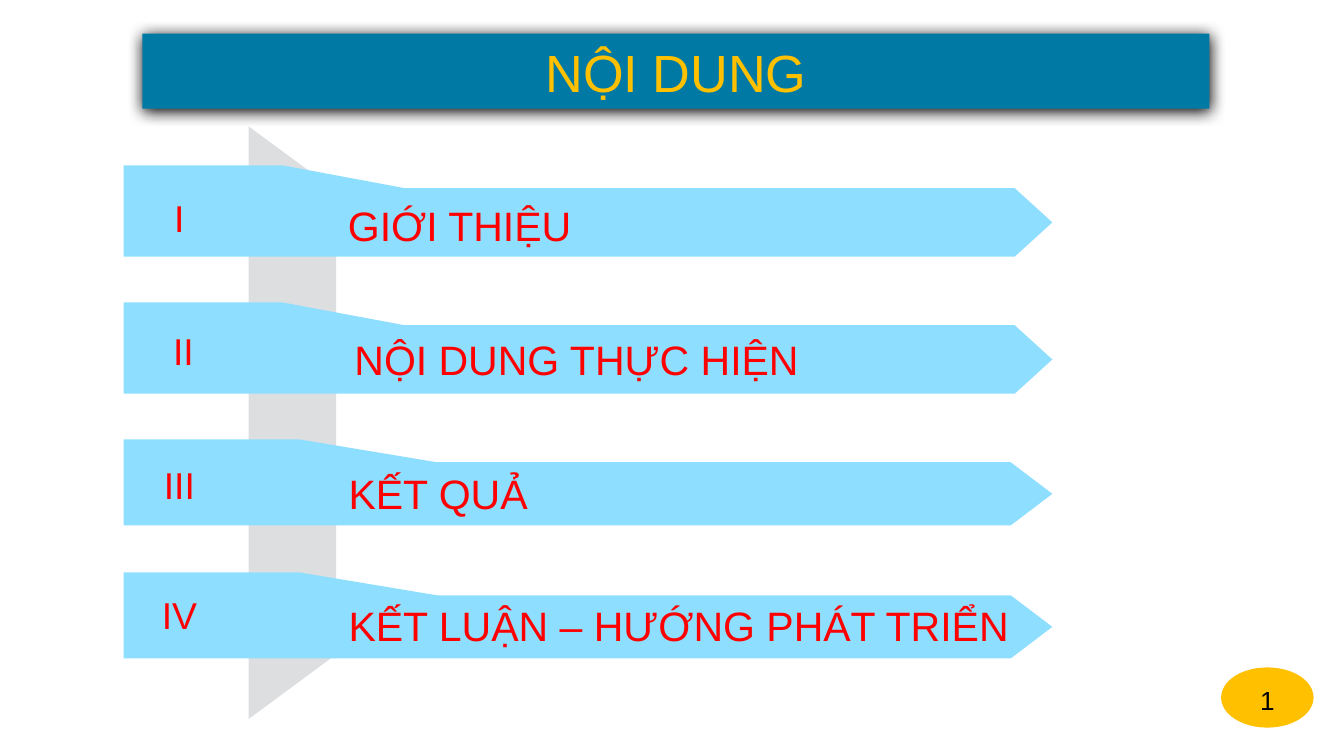
from dataclasses import dataclass

from lxml import etree
from pptx import Presentation
from pptx.dml.color import RGBColor
from pptx.enum.shapes import MSO_SHAPE as Preset
from pptx.enum.text import MSO_ANCHOR as Anchor, MSO_AUTO_SIZE as AutoSize, PP_ALIGN as Align
from pptx.oxml import parse_xml
from pptx.oxml.ns import nsdecls
from pptx.shapes.autoshape import Shape
from pptx.slide import Slide
from pptx.text.text import TextFrame
from pptx.util import Inches, Pt

FONT = "Arial"
TEAL = RGBColor(0x00, 0x79, 0xA5)
GOLD = RGBColor(0xFF, 0xC0, 0x00)
SKY = RGBColor(0x8E, 0xDF, 0xFF)
GREY = RGBColor(0xDC, 0xDE, 0xE0)
RED = RGBColor(0xFF, 0x00, 0x00)
BLACK = RGBColor(0x00, 0x00, 0x00)

Point = tuple[float, float]


@dataclass(frozen=True)
class Banner:
    """Proportions of an arrow banner, in inches."""
    height: float
    shoulder: float  # where the tall left part starts to slope
    neck: float  # where the slope meets the arrow
    head: float  # where the arrow head starts
    left: float = 0.92
    tip: float = 7.83
    drop: float = 0.17


@dataclass(frozen=True)
class Section:
    numeral: str
    title: str
    banner: Banner
    top: float
    numeral_at: Point
    title_at: Point
    title_width: float


TALL = Banner(0.68, 2.1, 3.01, 7.55)
SHORT = Banner(0.64, 2.23, 3.25, 7.52)
SECTIONS = [
    Section("I", "GIỚI THIỆU", TALL, 1.23, (1.03, 1.4), (2.48, 1.44), 1.88),
    Section("II", "NỘI DUNG THỰC HIỆN", TALL, 2.25, (1.06, 2.39), (2.52, 2.44), 3.54),
    Section("III", "KẾT QUẢ", SHORT, 3.27, (1.03, 3.39), (2.49, 3.44), 1.54),
    Section("IV", "KẾT LUẬN – HƯỚNG PHÁT TRIỂN", SHORT, 4.26, (1.03, 4.36), (2.42, 4.42), 5.26),
]


def write(frame: TextFrame, text: str, size: float, color: RGBColor) -> None:
    paragraph = frame.paragraphs[0]
    paragraph.text = text
    paragraph.alignment = Align.CENTER
    paragraph.font.name = FONT
    paragraph.font.size = Pt(size)
    paragraph.font.color.rgb = color


def add_outline(slide: Slide, points: list[Point], fill: RGBColor) -> None:
    corners = [(Inches(x), Inches(y)) for x, y in points]
    builder = slide.shapes.build_freeform(*corners[0])
    builder.add_line_segments(corners[1:], close=True)
    shape = builder.convert_to_shape()
    shape.shadow.inherit = False
    shape.fill.solid()
    shape.fill.fore_color.rgb = fill
    shape.line.fill.background()


def add_preset(slide: Slide, preset: Preset, left: float, top: float,
               width: float, height: float, fill: RGBColor) -> Shape:
    shape = slide.shapes.add_shape(preset, Inches(left), Inches(top), Inches(width), Inches(height))
    shape.shadow.inherit = False
    shape.fill.solid()
    shape.fill.fore_color.rgb = fill
    shape.line.fill.background()
    return shape


def add_label(slide: Slide, text: str, at: Point, width: float, height: float,
              size: float, wrap: bool) -> None:
    left, top = at
    box = slide.shapes.add_textbox(Inches(left), Inches(top), Inches(width), Inches(height))
    box.text_frame.word_wrap = wrap
    box.text_frame.auto_size = AutoSize.SHAPE_TO_FIT_TEXT
    write(box.text_frame, text, size, RED)


def add_section(slide: Slide, section: Section) -> None:
    banner, top = section.banner, section.top
    bottom = top + banner.height
    arrow_top = top + banner.drop
    add_outline(slide, [
        (banner.left, top), (banner.shoulder, top), (banner.neck, arrow_top),
        (banner.head, arrow_top), (banner.tip, (arrow_top + bottom) / 2),
        (banner.head, bottom), (banner.left, bottom),
    ], SKY)
    add_label(slide, section.numeral, section.numeral_at, 0.61, 0.44, 20, wrap=True)
    add_label(slide, section.title, section.title_at, section.title_width, 0.47, 22, wrap=False)


def add_heading(slide: Slide) -> None:
    heading = add_preset(slide, Preset.RECTANGLE, 1.06, 0.25, 7.94, 0.56, TEAL)
    effects = heading.element.spPr.find("{*}effectLst")
    shadow = parse_xml(
        f'<a:outerShdw {nsdecls("a")} blurRad="{Pt(8.5)}" dist="{Pt(1)}" dir="5400000" '
        'algn="ctr" rotWithShape="0"/>')
    etree.SubElement(shadow, f"{{{shadow.nsmap['a']}}}srgbClr", val=str(BLACK))
    effects.append(shadow)
    frame = heading.text_frame
    frame.margin_left = frame.margin_right = Inches(0.06)
    frame.margin_top = frame.margin_bottom = Inches(0.06)
    frame.vertical_anchor = Anchor.MIDDLE
    write(frame, "NỘI DUNG", 28, GOLD)


def add_page_number(slide: Slide) -> None:
    badge = add_preset(slide, Preset.OVAL, 9.1, 4.98, 0.66, 0.42, GOLD)
    badge.line.color.rgb = GOLD
    badge.line.width = Pt(2)
    badge.text_frame.vertical_anchor = Anchor.TOP
    write(badge.text_frame, "1", 14, BLACK)


def main() -> None:
    presentation = Presentation()
    presentation.slide_width = Inches(10)
    presentation.slide_height = Inches(10) * 9 // 16
    slide = presentation.slides.add_slide(presentation.slide_layouts[6])
    add_outline(slide, [(1.85, 0.94), (2.5, 1.42), (2.5, 4.87), (1.85, 5.35)], GREY)
    add_heading(slide)
    for section in SECTIONS:
        add_section(slide, section)
    add_page_number(slide)
    presentation.save("out.pptx")


if __name__ == "__main__":
    main()
